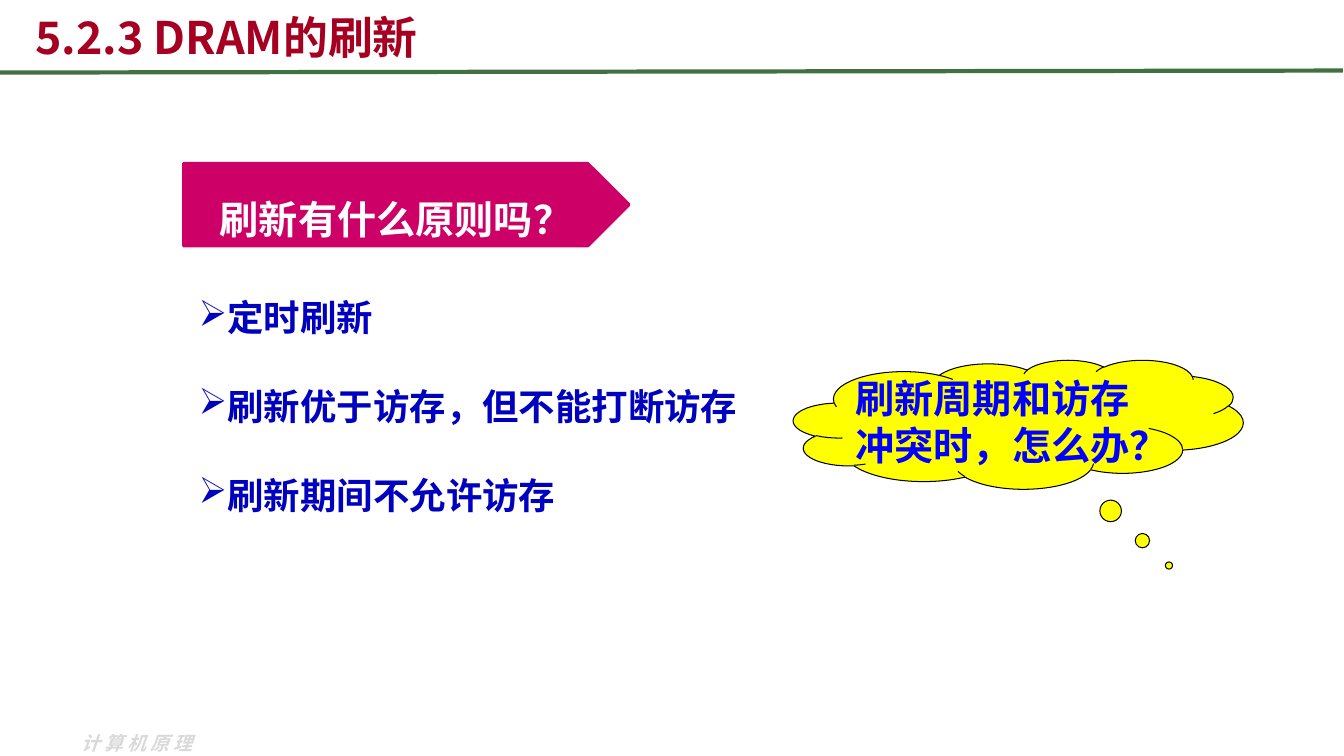
from lxml.etree import SubElement
from pptx import Presentation
from pptx.dml.color import RGBColor
from pptx.enum.shapes import MSO_CONNECTOR, MSO_SHAPE
from pptx.enum.text import MSO_ANCHOR, MSO_AUTO_SIZE, PP_ALIGN
from pptx.oxml.ns import qn
from pptx.util import Pt

PX = 9144
CJK = "Noto Sans CJK SC"


def px(*lengths):
    """Turn lengths in px, 100 to the inch, into EMU."""
    return [length * PX for length in lengths]


def color(value):
    """Make a colour from a hex string."""
    return RGBColor.from_string(value)


def add_span(para, text, size, ink, font=CJK):
    """Add one bold run to a paragraph and return it."""
    span = para.add_run()
    span.text = text
    span.font.size = Pt(size)
    span.font.bold = True
    span.font.name = font
    span.font.color.rgb = color(ink)
    SubElement(span.font._element, qn("a:ea"), typeface=font)
    return span


def add_title(page, text):
    """Place and fill the title placeholder."""
    title = page.shapes.title
    title.left, title.top, title.width, title.height = px(25, -1, 1200, 69)
    frame = title.text_frame
    frame.vertical_anchor = MSO_ANCHOR.BOTTOM
    frame.auto_size = MSO_AUTO_SIZE.NONE
    para = frame.paragraphs[0]
    para.alignment = PP_ALIGN.LEFT
    add_span(para, text, 32, "A50021")


def add_rule(page):
    """Draw the green line under the title."""
    rule = page.shapes.add_connector(MSO_CONNECTOR.STRAIGHT, *px(0, 72, 1332, 70))
    rule.line.color.rgb = color("3F7141")
    rule.line.width = Pt(3)
    SubElement(rule._element.spPr, qn("a:effectLst"))


def add_text_box(page, left, top, width, height):
    """Add a wrapping text box and return its frame."""
    frame = page.shapes.add_textbox(*px(left, top, width, height)).text_frame
    frame.word_wrap = True
    return frame


def add_bullets(page, items):
    """Add the list of refresh rules with arrow bullets."""
    frame = add_text_box(page, 159, 245, 988, 264)
    for index, item in enumerate(items):
        para = frame.add_paragraph() if index else frame.paragraphs[0]
        para.line_spacing = 2.0
        if index:
            para.space_before = Pt(1)
        properties = para._p.get_or_add_pPr()
        properties.set("marL", str(54 * PX))
        properties.set("indent", str(-26 * PX))
        SubElement(properties, qn("a:buChar"), char="➢")
        add_span(para, item, 26, "0000BF")


def add_callout(page, kind, place, fill, line, line_width):
    """Add a filled, outlined shape and return it."""
    shape = page.shapes.add_shape(kind, *px(*place))
    shape.shadow.inherit = False
    shape.fill.solid()
    shape.fill.fore_color.rgb = color(fill)
    shape.line.color.rgb = color(line)
    shape.line.width = Pt(line_width)
    shape.text_frame.word_wrap = True
    shape.text_frame.vertical_anchor = MSO_ANCHOR.MIDDLE
    return shape


def add_question(page, text):
    """Add the arrow-shaped banner with the question."""
    banner = add_callout(page, MSO_SHAPE.PENTAGON, (182, 162, 442, 82),
                         "CC0066", "CC0066", 2)
    para = banner.text_frame.paragraphs[0]
    para.alignment = PP_ALIGN.CENTER
    para.line_spacing = 1.6
    add_span(para, text, 28, "FFFFFF", "DejaVu Sans")


def add_thought(page, text):
    """Add the yellow thought cloud."""
    cloud = add_callout(page, MSO_SHAPE.CLOUD_CALLOUT, (787, 357, 446, 128),
                        "FFFF00", "000000", 0.75)
    cloud.adjustments[0] = 0.335
    cloud.adjustments[1] = 1.094
    frame = cloud.text_frame
    frame.margin_left = frame.margin_right = 0
    para = frame.paragraphs[0]
    para.alignment = PP_ALIGN.LEFT
    add_span(para, text, 28, "0000FF")


def add_footer(page, text):
    """Add the pale course name at the bottom."""
    frame = add_text_box(page, 71, 721, 146, 34)
    span = add_span(frame.paragraphs[0], text, 13.5, "D9D9D9")
    span.font.italic = True
    span.font._element.set("spc", "300")


def main():
    """Build the slide and save it."""
    deck = Presentation()
    deck.slide_width, deck.slide_height = px(1333, 750)
    page = deck.slides.add_slide(deck.slide_layouts[5])
    add_footer(page, "计算机原理")
    add_rule(page)
    add_title(page, "5.2.3 DRAM的刷新")
    add_bullets(page, ["定时刷新", "刷新优于访存，但不能打断访存", "刷新期间不允许访存"])
    add_question(page, "刷新有什么原则吗？")
    add_thought(page, "刷新周期和访存冲突时，怎么办？")
    deck.save("out.pptx")


if __name__ == "__main__":
    main()
